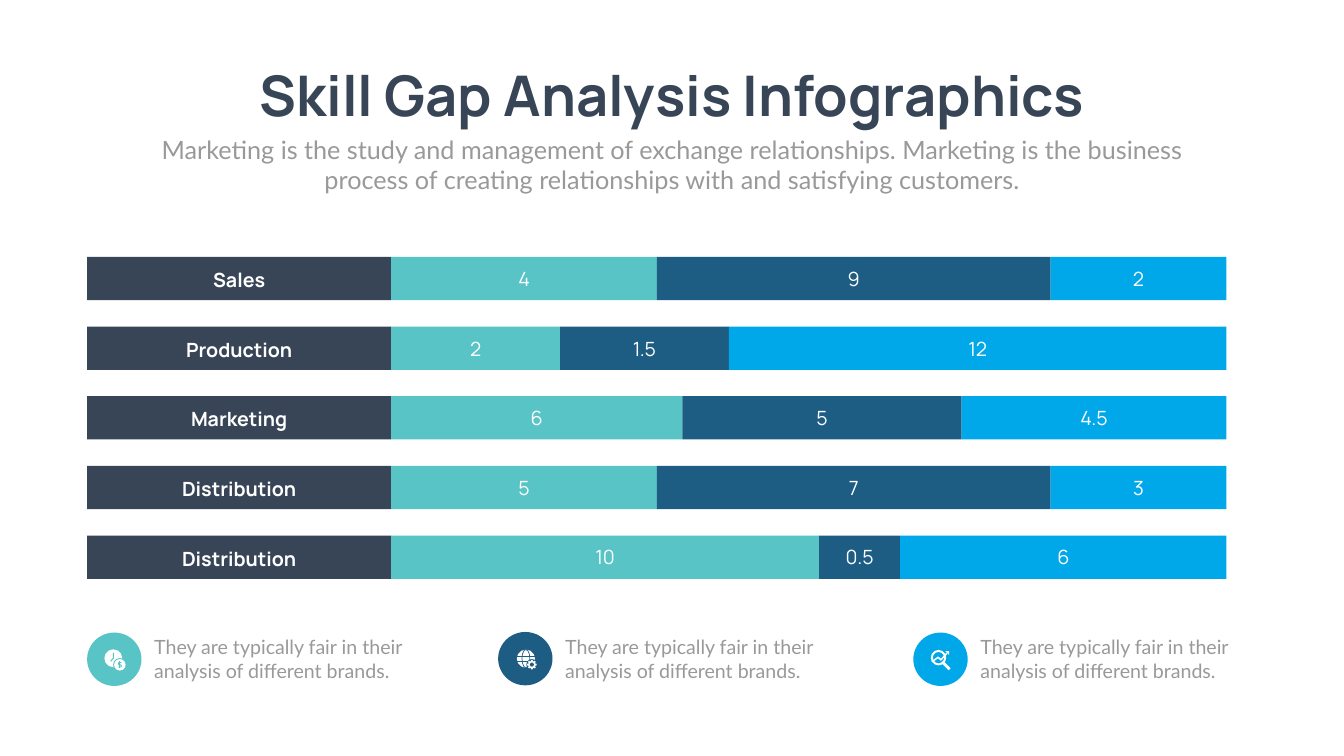
from math import cos, pi, sin
from lxml.etree import SubElement
from pptx import Presentation
from pptx.dml.color import RGBColor
from pptx.enum.shapes import MSO_CONNECTOR as Link, MSO_SHAPE as Kind
from pptx.enum.text import MSO_ANCHOR as Anchor, MSO_AUTO_SIZE as Fit, PP_ALIGN as Align
from pptx.oxml.ns import qn
from pptx.util import Cm, Pt

THEME = dict(
    back="FEFFFE", dark="374556", teal="59C4C6", navy="1D5C83", sky="01A8E9",
    grey="999999", white="FFFFFF", head="Manrope", body="Lato",
    big=80, mid=36, small=28,
)
TITLE = "Skill Gap Analysis Infographics"
INTRO = ("Marketing is the study and management of exchange relationships. "
         "Marketing is the business process of creating relationships with "
         "and satisfying customers.")
NOTE = "They are typically fair in their analysis of different brands."
TONES = ("teal", "navy", "sky")
ROWS = [
    ("Sales", ("4", "9", "2"), (13.39, 19.84)),
    ("Production", ("2", "1.5", "12"), (8.51, 8.51)),
    ("Marketing", ("6", "5", "4.5"), (14.67, 14.07)),
    ("Distribution", ("5", "7", "3"), (13.39, 19.84)),
    ("Distribution", ("10", "0.5", "6"), (21.56, 4.09)),
]
LEFT, START, END = 4.39, 19.71, 61.8
TOP, STEP, HIGH = 12.95, 3.51, 2.18
KEYS = [(4.39, 31.88), (25.1, 31.85), (46.02, 31.88)]
WIDE, TALL = 2.74, 2.69

GEAR = [(0.33 + r * cos(a), 0.3 + r * sin(a))
        for k in range(8)
        for r, t in ((0.18, -0.3), (0.24, -0.17), (0.24, 0.17), (0.18, 0.3))
        for a in [k * pi / 4 + t]]
ICONS = [
    [("disc", (-0.05, -0.05, 0.45, 0.45), "white", 0),
     ("line", [(-0.05, -0.33), (-0.05, -0.05), (-0.18, 0.1)], "tone", 1.5),
     ("disc", (0.28, 0.28, 0.34, 0.34), "tone", 0),
     ("disc", (0.28, 0.28, 0.29, 0.29), "white", 0),
     ("line", [(0.36, 0.16), (0.23, 0.16), (0.2, 0.22), (0.23, 0.28),
               (0.33, 0.28), (0.36, 0.34), (0.33, 0.39), (0.2, 0.39)], "tone", 1.3),
     ("line", [(0.28, 0.08), (0.28, 0.46)], "tone", 1.3)],
    [("disc", (0.03, 0, 0.46, 0.46), "white", 0),
     ("disc", (0.03, 0, 0.2, 0.46), "tone", 1),
     ("line", [(-0.43, -0.14), (0.49, -0.14)], "tone", 1),
     ("line", [(-0.43, 0.14), (0.49, 0.14)], "tone", 1),
     ("disc", (0.33, 0.3, 0.28, 0.28), "tone", 0),
     ("area", GEAR, "white", 0),
     ("disc", (0.33, 0.3, 0.1, 0.1), "tone", 0)],
    [("disc", (-0.1, -0.08, 0.34, 0.34), "white", 2.8),
     ("line", [(0.15, 0.19), (0.46, 0.5)], "white", 4),
     ("line", [(-0.43, 0.13), (-0.12, -0.1), (0.02, 0.03), (0.32, -0.3)], "white", 2.2),
     ("area", [(0.24, -0.41), (0.43, -0.41), (0.43, -0.22)], "white", 0)],
]


def tint(name):
    return RGBColor.from_string(THEME[name])


def paint(shape, tone, width=0):
    shape.shadow.inherit = False
    if width:
        shape.fill.background()
        shape.line.color.rgb = tint(tone)
        shape.line.width = Pt(width)
    else:
        shape.fill.solid()
        shape.fill.fore_color.rgb = tint(tone)
        shape.line.fill.background()


def write(shape, text, face, size, tone, bold=False, align=Align.CENTER,
          anchor=Anchor.MIDDLE, wrap=True):
    frame = shape.text_frame
    frame.text = text
    frame.word_wrap = wrap
    frame.auto_size = Fit.NONE
    frame.vertical_anchor = anchor
    para = frame.paragraphs[0]
    para.alignment = align
    font = para.font
    font.name, font.size, font.bold = THEME[face], Pt(THEME[size]), bold
    font.color.rgb = tint(tone)


def add(shapes, kind, x, y, w, h, tone, width=0):
    shape = shapes.add_shape(kind, Cm(x), Cm(y), Cm(w), Cm(h))
    paint(shape, tone, width)
    return shape


def draw(shapes, kind, data, tone, width, x, y):
    if kind == "disc":
        dx, dy, rx, ry = data
        add(shapes, Kind.OVAL, x + dx - rx, y + dy - ry, 2 * rx, 2 * ry, tone, width)
        return
    points = [(Cm(x + dx), Cm(y + dy)) for dx, dy in data]
    if len(points) == 2:
        line = shapes.add_connector(Link.STRAIGHT, *points[0], *points[1])
        line.line.color.rgb = tint(tone)
        line.line.width = Pt(width)
        SubElement(line._element.spPr, qn("a:effectLst"))
        return
    form = shapes.build_freeform(*points[0])
    form.add_line_segments(points[1:], close=kind == "area")
    paint(form.convert_to_shape(), tone, width)


def main():
    deck = Presentation()
    deck.slide_width, deck.slide_height = Cm(67.72), Cm(38.1)
    slide = deck.slides.add_slide(deck.slide_layouts[5])
    shapes = slide.shapes
    slide.background.fill.solid()
    slide.background.fill.fore_color.rgb = tint("back")

    title = shapes.title
    title.left, title.top, title.width, title.height = Cm(11), Cm(2.9), Cm(45.75), Cm(3.68)
    write(title, TITLE, "head", "big", "dark", bold=True, wrap=False)
    intro = shapes.add_textbox(Cm(7.42), Cm(6.63), Cm(52.88), Cm(3.33))
    write(intro, INTRO, "body", "mid", "grey", anchor=Anchor.TOP)

    for i, (name, values, widths) in enumerate(ROWS):
        y = TOP + i * STEP
        label = add(shapes, Kind.RECTANGLE, LEFT, y, START - LEFT, HIGH, "dark")
        write(label, name, "head", "small", "white", bold=True)
        label.text_frame.margin_top = Cm(0.25)
        x = START
        for value, w, tone in zip(values, (*widths, END - START - sum(widths)), TONES):
            bar = add(shapes, Kind.RECTANGLE, x, y, w, HIGH, tone)
            write(bar, value, "head", "small", "white")
            x += w

    for (x, y), tone, icon in zip(KEYS, TONES, ICONS):
        group = shapes.add_group_shape().shapes
        add(group, Kind.OVAL, x, y, WIDE, TALL, tone)
        for kind, data, ink, width in icon:
            draw(group, kind, data, tone if ink == "tone" else ink, width,
                 x + WIDE / 2, y + TALL / 2)
        note = shapes.add_textbox(Cm(x + 3.13), Cm(31.88), Cm(14.12), Cm(2.64))
        write(note, NOTE, "body", "small", "grey", align=Align.LEFT, anchor=Anchor.TOP)

    deck.save("out.pptx")


if __name__ == "__main__":
    main()
